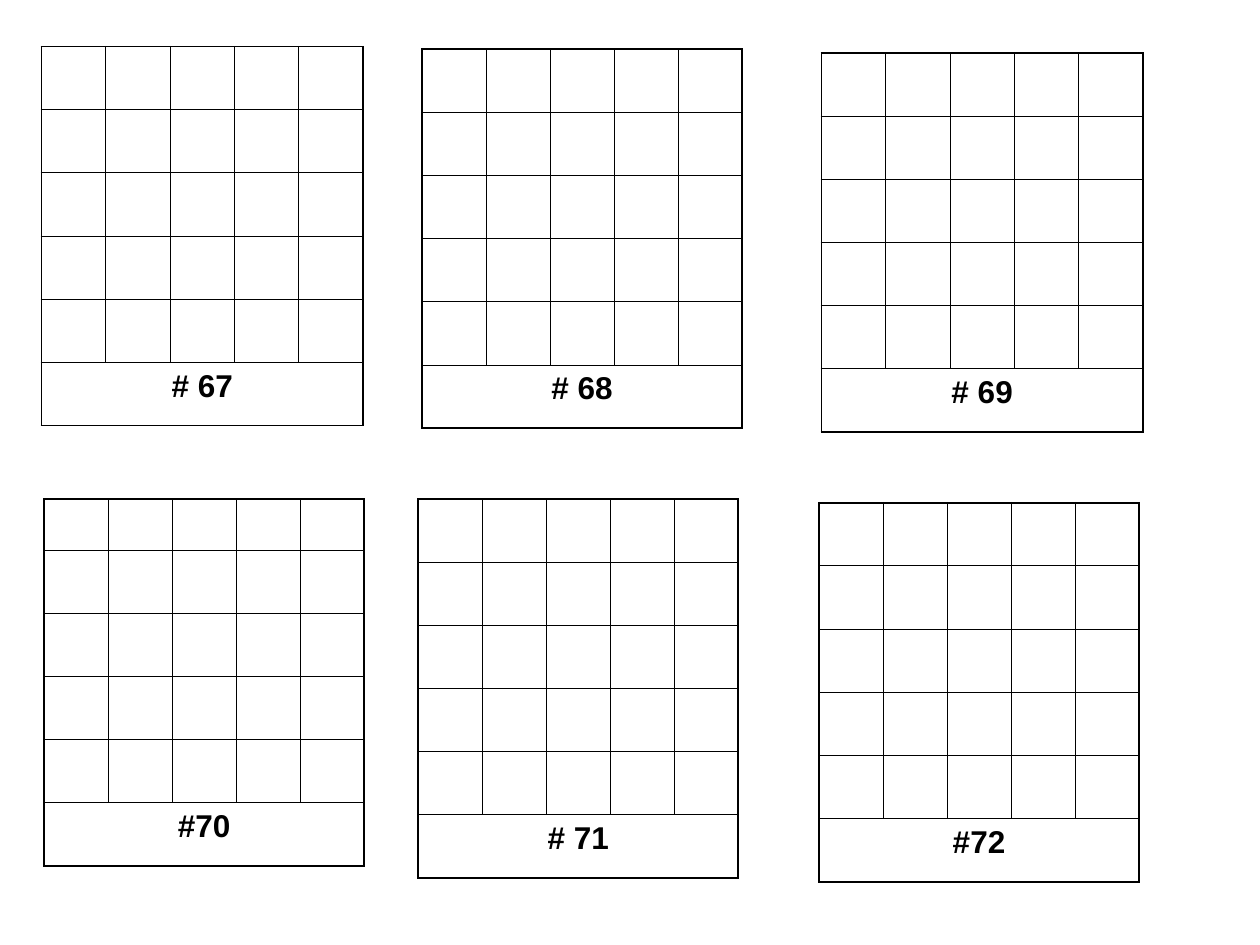
from dataclasses import dataclass

from lxml import etree
from pptx import Presentation
from pptx.dml.color import RGBColor
from pptx.enum.text import PP_ALIGN
from pptx.oxml.ns import qn
from pptx.slide import Slide
from pptx.table import Table, _Cell
from pptx.util import Inches, Pt

CENTER = PP_ALIGN.CENTER
ROWS, COLS = 6, 5


@dataclass(frozen=True)
class Theme:
    """Colours, type and line sizes."""
    ink: str = "000000"
    font: str = "Arial"
    size: float = 18
    thin: float = 0.45
    thick: float = 1.08


@dataclass(frozen=True)
class Grid:
    """One numbered grid, in inches."""
    label: str
    left: float
    top: float
    width: float = 2.54
    first: float = 0.5


THEME = Theme()
GRIDS = (
    Grid("# 67", 0.33, 0.37, width=2.55),
    Grid("#72", 6.5, 3.99),
    Grid("#70", 0.35, 3.96, first=0.4),
    Grid("# 71", 3.32, 3.96),
    Grid("# 69", 6.52, 0.42, width=2.55),
    Grid("# 68", 3.35, 0.39),
)


def rule_cell(cell: _Cell, row: int, col: int) -> None:
    """Rule the four sides of a cell, thick on the outer edge."""
    last = col + (cell.span_width if cell.is_merge_origin else 1)
    sides = {"L": col == 0, "R": last == COLS, "T": row == 0, "B": row == ROWS - 1}
    props = cell._tc.get_or_add_tcPr()
    for side, outer in sides.items():
        width = Pt(THEME.thick if outer else THEME.thin)
        line = etree.SubElement(props, qn(f"a:ln{side}"), w=str(width))
        fill = etree.SubElement(line, qn("a:solidFill"))
        etree.SubElement(fill, qn("a:srgbClr"), val=THEME.ink)
    cell.fill.background()


def set_label(table: Table, label: str) -> None:
    """Merge the bottom row and write the label in it."""
    cell = table.cell(ROWS - 1, 0)
    cell.merge(table.cell(ROWS - 1, COLS - 1))
    cell.text_frame.text = label
    para = cell.text_frame.paragraphs[0]
    para.alignment = CENTER
    font = para.runs[0].font
    font.name, font.size, font.bold = THEME.font, Pt(THEME.size), True
    font.color.rgb = RGBColor.from_string(THEME.ink)


def draw_grid(slide: Slide, grid: Grid) -> None:
    """Draw one grid with its label."""
    step = 3.01 / ROWS
    height = grid.first + step * (ROWS - 1)
    frame = slide.shapes.add_table(
        ROWS, COLS, Inches(grid.left), Inches(grid.top), Inches(grid.width), Inches(height)
    )
    table = frame.table
    table.first_row = table.horz_banding = False
    for col in table.columns:
        col.width = Inches(grid.width / COLS)
    for index, row in enumerate(table.rows):
        row.height = Inches(step if index else grid.first)
    set_label(table, grid.label)
    for row in range(ROWS):
        for col in range(COLS):
            rule_cell(table.cell(row, col), row, col)


def main() -> None:
    """Build the slide of numbered grids."""
    deck = Presentation()
    deck.slide_width, deck.slide_height = Inches(10), Inches(7.5)
    slide = deck.slides.add_slide(deck.slide_layouts[6])
    for grid in GRIDS:
        draw_grid(slide, grid)
    deck.save("out.pptx")


if __name__ == "__main__":
    main()
